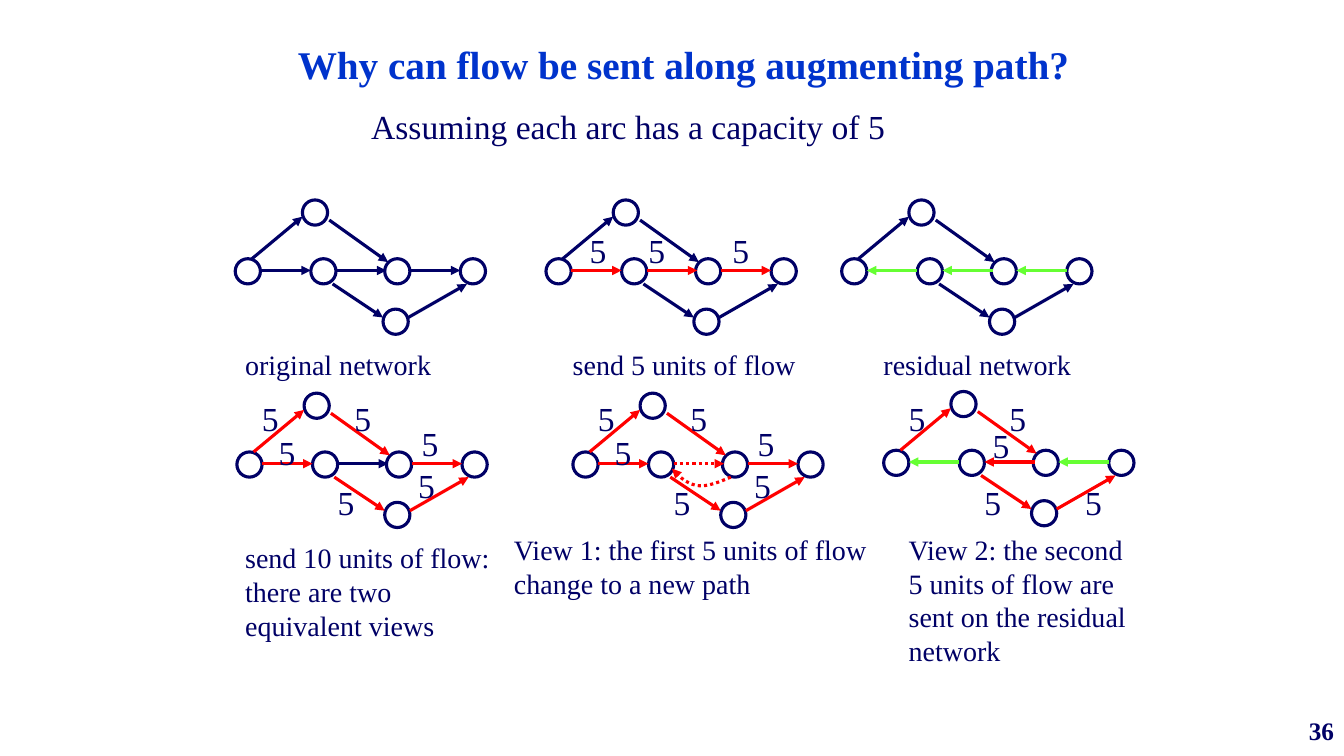
from dataclasses import dataclass

from lxml import etree
from pptx import Presentation
from pptx.dml.color import RGBColor
from pptx.enum.dml import MSO_LINE
from pptx.enum.shapes import MSO_CONNECTOR, MSO_SHAPE
from pptx.enum.text import MSO_ANCHOR, MSO_AUTO_SIZE, PP_ALIGN
from pptx.oxml.ns import qn
from pptx.util import Inches, Pt

STRAIGHT, OVAL, DOTS = MSO_CONNECTOR.STRAIGHT, MSO_SHAPE.OVAL, MSO_LINE.ROUND_DOT
BOTTOM, MIDDLE = MSO_ANCHOR.BOTTOM, MSO_ANCHOR.MIDDLE
CENTER, LEFT, RIGHT = PP_ALIGN.CENTER, PP_ALIGN.LEFT, PP_ALIGN.RIGHT
TITLE_ONLY = 5


@dataclass(frozen=True)
class Theme:
    font: str = "Times New Roman"
    ink: RGBColor = RGBColor(0x00, 0x00, 0x66)
    title: RGBColor = RGBColor(0x00, 0x33, 0xCC)
    flow: RGBColor = RGBColor(0xFF, 0x00, 0x00)
    residual: RGBColor = RGBColor(0x66, 0xFF, 0x33)
    title_size: int = 28
    label_size: int = 24
    caption_size: int = 20
    number_size: int = 18
    line: float = 2.25


T = Theme()

# The slide is a grid of 160 columns by 90 rows, each cell 1/12 inch.
COLS, ROWS = 160, 90
NODE = 3
NODES = [(0, 7), (9, 7), (17.8, 7), (26.8, 7), (8, 0), (17.6, 13)]
ARCS = {
    "first": (3, 8.4, 9, 8.4),
    "middle": (12, 8.4, 18, 8.4),
    "last": (20.8, 8.4, 26.8, 8.4),
    "up": (2, 7, 8, 2),
    "over": (11.2, 2.4, 18.2, 7.4),
    "under": (11.6, 10, 17.6, 14),
    "rise": (20.6, 14, 27.6, 10),
}
STRAIGHT_PATH = ("first", "middle", "last")
OUTER_PATHS = ("first", "last", "up", "over", "under", "rise")
REROUTE = [(18.8, 10), (17.4, 10.6), (15.9, 11.2), (14.8, 11),
           (13.6, 10.8), (12.7, 10), (11.8, 9)]
TEN_UNIT_LABELS = [(3.8, 4), (20.8, 3), (10.8, 10), (20.4, 8), (1.8, 0), (12.8, 0)]


def grid(n):
    return Inches(n / 12)


def style_text(shape, text, size, color=T.ink, bold=False, align=LEFT):
    tf = shape.text_frame
    tf.word_wrap = True
    tf.text = text
    p = tf.paragraphs[0]
    p.alignment = align
    font = p.runs[0].font
    font.name, font.size, font.bold = T.font, Pt(size), bold
    font.color.rgb = color
    return tf


def add_text(shapes, text, x, y, w, h, size):
    box = shapes.add_textbox(*map(grid, (x, y, w, h)))
    style_text(box, text, size).auto_size = MSO_AUTO_SIZE.SHAPE_TO_FIT_TEXT


def style_line(shape, color, dotted=False, arrow=None):
    """arrow is the line end that carries the triangle: headEnd or tailEnd."""
    shape.line.width = Pt(T.line)
    shape.line.color.rgb = color
    if dotted:
        shape.line.dash_style = DOTS
    if arrow:
        ln = shape.line._get_or_add_ln()
        etree.SubElement(ln, qn("a:" + arrow), type="triangle")


def add_reroute(shapes, x, y):
    """Draws the dotted bend as two cubic curves sampled into short segments."""
    steps = 12
    points = [REROUTE[0]]
    for start in (0, 3):
        controls = REROUTE[start:start + 4]
        for i in range(1, steps + 1):
            t = i / steps
            weights = ((1 - t) ** 3, 3 * t * (1 - t) ** 2, 3 * t * t * (1 - t), t ** 3)
            points.append(tuple(sum(w * c[axis] for w, c in zip(weights, controls))
                                for axis in (0, 1)))
    points = [(grid(x + px), grid(y + py)) for px, py in points]
    builder = shapes.build_freeform(*points[0], scale=1.0)
    builder.add_line_segments(points[1:], close=False)
    bend = builder.convert_to_shape()
    bend.shadow.inherit = False
    bend.fill.background()
    style_line(bend, T.flow, dotted=True, arrow="tailEnd")


def add_network(s, x, y, caption, caption_box, flow=(), residual=(), backward=(),
                dotted=(), labels=(), reroute=False):
    """Places one network; caption_box and labels are offsets from (x, y)."""
    shapes = s.shapes.add_group_shape().shapes
    for nx, ny in NODES:
        node = shapes.add_shape(OVAL, grid(x + nx), grid(y + ny), grid(NODE), grid(NODE))
        node.shadow.inherit = False
        node.fill.background()
        style_line(node, T.ink)
    for name, (x1, y1, x2, y2) in ARCS.items():
        arc = shapes.add_connector(STRAIGHT, grid(x + x1), grid(y + y1),
                                   grid(x + x2), grid(y + y2))
        color = T.flow if name in flow else T.residual if name in residual else T.ink
        style_line(arc, color, name in dotted,
                   "headEnd" if name in backward else "tailEnd")
        etree.SubElement(arc._element.spPr, qn("a:effectLst"))
    if reroute:
        add_reroute(shapes, x, y)
    for lx, ly in labels:
        add_text(shapes, "5", x + lx, y + ly, 4, 6, T.label_size)
    cx, cy, cw, ch = caption_box
    add_text(shapes, caption, x + cx, y + cy, cw, ch, T.caption_size)


def add_heading(s):
    title = s.shapes.title
    title.left, title.top, title.width, title.height = map(grid, (6.7, 4, 149.3, 7))
    tf = style_text(title, "Why can flow be sent along augmenting path?",
                    T.title_size, T.title, True, CENTER)
    tf.vertical_anchor = BOTTOM
    tf.auto_size = MSO_AUTO_SIZE.NONE
    add_text(s.shapes, "Assuming each arc has a capacity of 5", 43, 12, 68, 6, T.label_size)


def add_single_flow_row(s):
    y = 23.8
    add_network(s, 28, y, "original network", (0, 17, 25, 5.2))
    add_network(s, 65, y, "send 5 units of flow", (2, 17, 29, 5.2),
                flow=STRAIGHT_PATH, labels=[(4, 3), (11, 3), (21, 3)])
    add_network(s, 100.2, y, "residual network", (3.8, 17, 25, 5.2),
                residual=STRAIGHT_PATH, backward=STRAIGHT_PATH)


def add_double_flow_row(s):
    y = 46.8
    add_network(s, 28.2, y, "send 10 units of flow: there are two equivalent views",
                (-0.2, 17, 32, 13.2), flow=OUTER_PATHS, labels=TEN_UNIT_LABELS)
    add_network(s, 68.2, y, "View 1: the first 5 units of flow change to a new path",
                (-8.2, 16, 45, 9.2), flow=tuple(ARCS), dotted=("middle",),
                labels=TEN_UNIT_LABELS, reroute=True)
    add_network(s, 105.2, y - 0.2,
                "View 2: the second 5 units of flow are sent on the residual network",
                (1.8, 16.2, 30, 17.2), flow=("middle", "up", "over", "under", "rise"),
                residual=("first", "last"), backward=STRAIGHT_PATH,
                labels=[(1.8, 0.2), (13.8, 0.2), (11.8, 3.4), (10.8, 10.2), (22.8, 10.2)])


def add_slide_number(s):
    w, h = 30.7, 6
    box = s.shapes.add_textbox(*map(grid, (COLS - w, ROWS - h, w, h)))
    tf = style_text(box, "36", T.number_size, bold=True, align=RIGHT)
    tf.vertical_anchor = MIDDLE


def main():
    prs = Presentation()
    prs.slide_width, prs.slide_height = grid(COLS), grid(ROWS)
    s = prs.slides.add_slide(prs.slide_layouts[TITLE_ONLY])
    add_heading(s)
    add_single_flow_row(s)
    add_double_flow_row(s)
    add_slide_number(s)
    prs.save("out.pptx")


if __name__ == "__main__":
    main()
